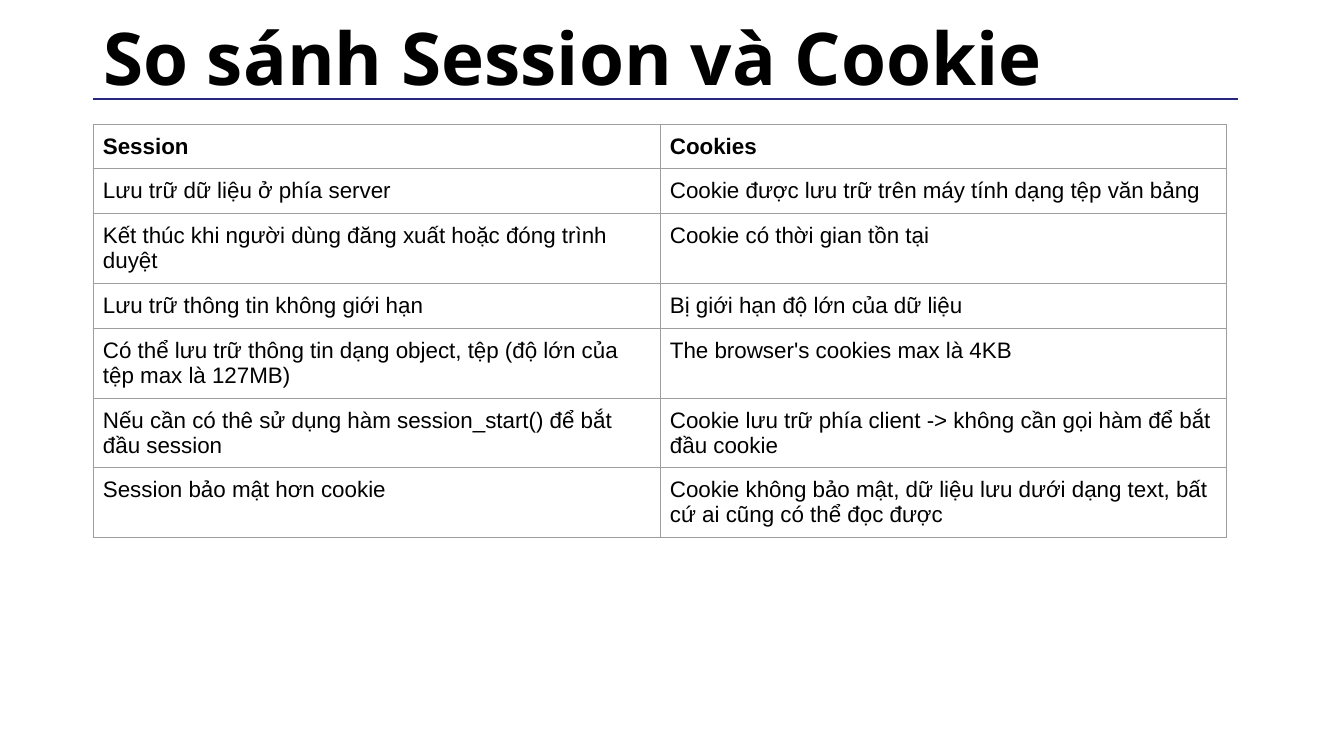
from lxml.etree import SubElement
from pptx import Presentation
from pptx.dml.color import RGBColor
from pptx.enum.shapes import MSO_CONNECTOR
from pptx.enum.text import MSO_ANCHOR, MSO_AUTO_SIZE, PP_ALIGN
from pptx.oxml import parse_xml
from pptx.oxml.ns import nsdecls, qn
from pptx.util import Pt

EMU_PER_PX = 914400 / 100.8
BLACK = RGBColor(0x00, 0x00, 0x00)
NAVY = RGBColor(0x27, 0x27, 0x80)
GRAY = RGBColor(0x9E, 0x9E, 0x9E)

LEFT = 93
COLUMN_WIDTH = 567
ROW_HEIGHT = 42
CELL_MARGIN = 10

COMPARISON = [
    ("Session", "Cookies"),
    ("Lưu trữ dữ liệu ở phía server",
     "Cookie được lưu trữ trên máy tính dạng tệp văn bảng"),
    ("Kết thúc khi người dùng đăng xuất hoặc đóng trình duyệt",
     "Cookie có thời gian tồn tại"),
    ("Lưu trữ thông tin không giới hạn",
     "Bị giới hạn độ lớn của dữ liệu"),
    ("Có thể lưu trữ thông tin dạng object, tệp (độ lớn của tệp max là 127MB)",
     "The browser's cookies max là 4KB"),
    ("Nếu cần có thê sử dụng hàm session_start() để bắt đầu session",
     "Cookie lưu trữ phía client -> không cần gọi hàm để bắt đầu cookie"),
    ("Session bảo mật hơn cookie",
     "Cookie không bảo mật, dữ liệu lưu dưới dạng text, "
     "bất cứ ai cũng có thể đọc được"),
]


def px(n):
    return round(n * EMU_PER_PX)


def add_run(p, text, font, size, bold):
    r = p.add_run()
    r.text = text
    r.font.name = font
    r.font.size = Pt(size)
    r.font.bold = bold
    r.font.color.rgb = BLACK


def add_title(s, text):
    sp = s.shapes.title
    sp.left, sp.top, sp.width, sp.height = px(LEFT), px(17), px(1159), px(90)
    tf = sp.text_frame
    tf.word_wrap = True
    tf.auto_size = MSO_AUTO_SIZE.NONE
    tf.vertical_anchor = MSO_ANCHOR.MIDDLE
    p = tf.paragraphs[0]
    p.alignment = PP_ALIGN.LEFT
    p.line_spacing = 0.9
    add_run(p, text, "Open Sans", 52, True)


def add_rule(s, x1, x2, y):
    line = s.shapes.add_connector(
        MSO_CONNECTOR.STRAIGHT, px(x1), px(y), px(x2), px(y))
    line.line.color.rgb = NAVY
    line.line.width = Pt(2)
    SubElement(line.element.spPr, qn("a:effectLst"))


def set_borders(cell):
    tcPr = cell._tc.get_or_add_tcPr()
    for i, side in enumerate(("lnL", "lnR", "lnT", "lnB")):
        tcPr.insert(i, parse_xml(
            f'<a:{side} {nsdecls("a")} w="{Pt(0.75)}"><a:solidFill>'
            f'<a:srgbClr val="{GRAY}"/></a:solidFill></a:{side}>'))


def fill_cell(cell, text, bold):
    cell.fill.background()
    set_borders(cell)
    cell.margin_left = cell.margin_right = px(CELL_MARGIN)
    cell.margin_top = cell.margin_bottom = px(CELL_MARGIN)
    cell.vertical_anchor = MSO_ANCHOR.TOP
    add_run(cell.text_frame.paragraphs[0], text, "Arial", 16, bold)


def add_comparison(s, rows):
    n_rows, n_cols = len(rows), len(rows[0])
    table = s.shapes.add_table(
        n_rows, n_cols, px(LEFT), px(124),
        px(n_cols * COLUMN_WIDTH), px(n_rows * ROW_HEIGHT)).table
    table.first_row = table.horz_banding = False
    for i, texts in enumerate(rows):
        for j, text in enumerate(texts):
            fill_cell(table.cell(i, j), text, bold=i == 0)


def main():
    prs = Presentation()
    prs.slide_width, prs.slide_height = px(1344), px(756)
    s = prs.slides.add_slide(prs.slide_layouts[5])
    add_rule(s, LEFT, 1238, 99)
    add_title(s, "So sánh Session và Cookie")
    add_comparison(s, COMPARISON)
    prs.save("out.pptx")


if __name__ == "__main__":
    main()
